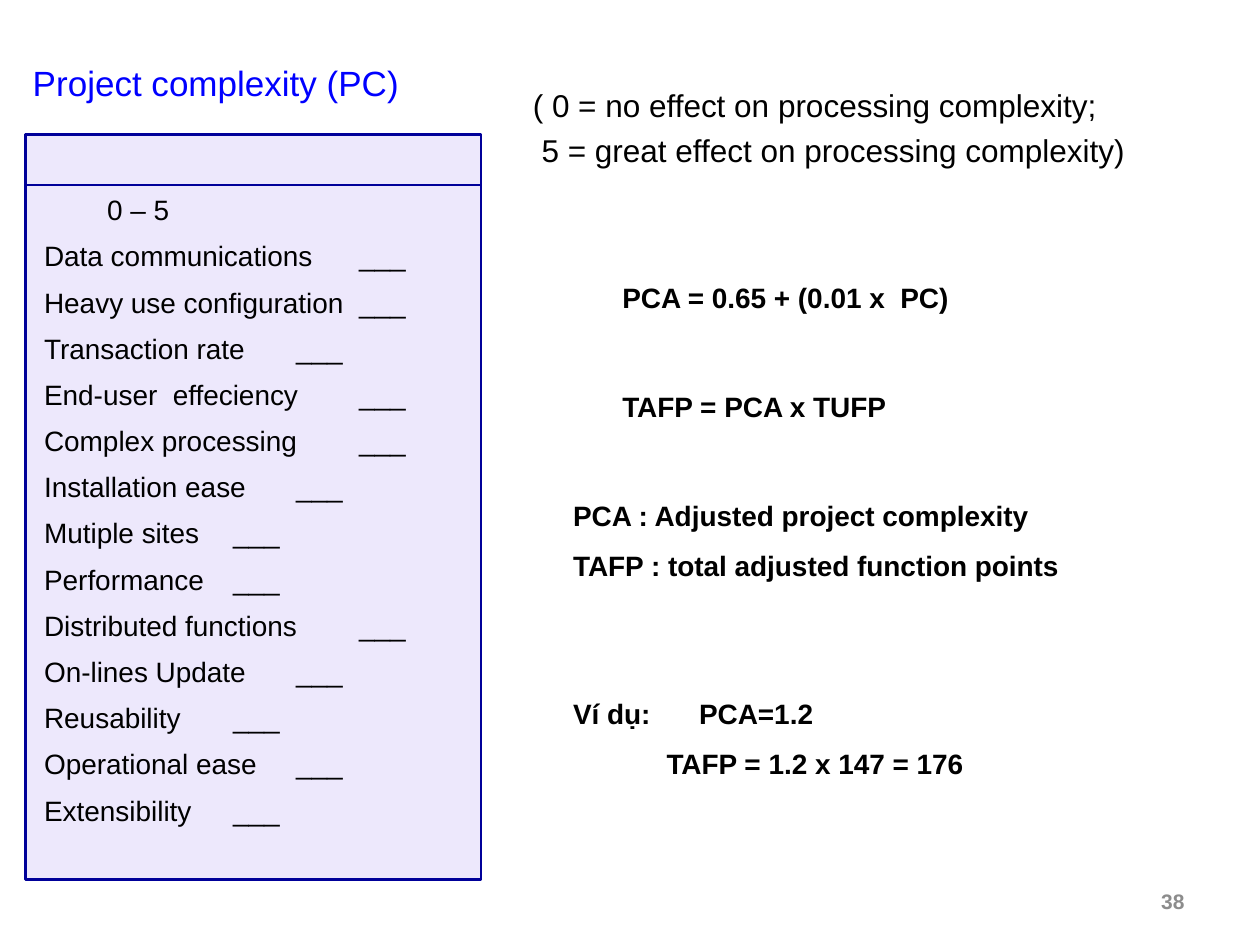
from lxml import etree
from pptx import Presentation
from pptx.dml.color import RGBColor
from pptx.enum import shapes, text
from pptx.oxml import ns
from pptx.util import Pt

COLORS = {"title": "0000FF", "body": "000000", "panel": "EDE8FC",
          "border": "000099", "number": "8C8C8C"}
FONT = "Arial"

TITLE = "Project complexity (PC)"
SCALE = "0 – 5"
BLANK = "___"
FACTORS = [
    "Data communications", "Heavy use configuration", "Transaction rate",
    "End-user  effeciency", "Complex processing", "Installation ease",
    "Mutiple sites", "Performance", "Distributed functions",
    "On-lines Update", "Reusability", "Operational ease", "Extensibility",
]
PANEL = (14.4, 77, 260.6, 425.5)
HEADER_HEIGHT = 28.8
SCALE_TAB, BLANK_TAB = 189, 215.5
EXAMPLE_TAB = 53.4

NOTES = [
    {"box": (297.4, 45.4, 391, 55.4), "size": 18, "bold": False, "gap": 4.4,
     "lines": [("( 0 = no effect on processing complexity;", 0),
               ("5 = great effect on processing complexity)", 5)]},
    {"box": (348.5, 157, 250, 26.6), "lines": [("PCA = 0.65 + (0.01 x  PC)", 0)]},
    {"box": (348.5, 219, 193, 26.6), "lines": [("TAFP = PCA x TUFP", 0)]},
    {"box": (320.4, 281.5, 335, 55.4),
     "lines": [("PCA : Adjusted project complexity", 0),
               ("TAFP : total adjusted function points", 0)]},
    {"box": (320.4, 394.6, 335, 55.4), "tab": EXAMPLE_TAB,
     "lines": [("Ví dụ:\tPCA=1.2", 0),
               ("TAFP = 1.2 x 147 = 176", EXAMPLE_TAB)]},
    {"box": (516.2, 500.4, 167.8, 28.8), "size": 12, "color": "number",
     "align": text.PP_ALIGN.RIGHT, "anchor": text.MSO_ANCHOR.MIDDLE,
     "lines": [("38", 0)]},
]


def color(name):
    return RGBColor.from_string(COLORS[name])


def place(shape, box):
    shape.left, shape.top, shape.width, shape.height = map(Pt, box)


def prepare_frame(shape, anchor=text.MSO_ANCHOR.TOP):
    frame = shape.text_frame
    frame.word_wrap = True
    frame.auto_size = text.MSO_AUTO_SIZE.NONE
    frame.vertical_anchor = anchor
    return frame


def write_line(frame, index, content, size, bold=False, color_name="body",
               align=text.PP_ALIGN.LEFT, gap=0, indent=0, tab=None):
    paragraph = frame.add_paragraph() if index else frame.paragraphs[0]
    properties = paragraph._p.get_or_add_pPr()
    properties.set("marL", str(Pt(indent)))
    properties.set("indent", "0")
    etree.SubElement(properties, ns.qn("a:buNone"))
    if tab:
        tabs = etree.SubElement(properties, ns.qn("a:tabLst"))
        etree.SubElement(tabs, ns.qn("a:tab"), pos=str(Pt(tab)), algn="l")
    paragraph.alignment = align
    paragraph.space_before = Pt(gap if index else 0)
    run = paragraph.add_run()
    run.text = content
    run.font.name = FONT
    run.font.size = Pt(size)
    run.font.bold = bold
    run.font.color.rgb = color(color_name)


def add_title(slide):
    title = slide.shapes.title
    place(title, (11.5, 31.7, 263.5, 31.7))
    write_line(prepare_frame(title), 0, TITLE, 20, color_name="title")


def add_factor_panel(slide):
    panel = slide.placeholders[1]
    place(panel, PANEL)
    panel.fill.solid()
    panel.fill.fore_color.rgb = color("panel")
    panel.line.color.rgb = color("border")
    panel.line.width = Pt(1.5)
    frame = prepare_frame(panel, text.MSO_ANCHOR.MIDDLE)
    frame.margin_left, frame.margin_right = Pt(10.8), Pt(0)
    frame.margin_top, frame.margin_bottom = Pt(6.6), Pt(3.6)
    rows = [(f"\t{SCALE}", SCALE_TAB)]
    rows += [(f"{factor}\t{BLANK}", BLANK_TAB) for factor in FACTORS]
    for index, (content, tab) in enumerate(rows):
        write_line(frame, index, content, 16, gap=7.2, tab=tab)

    left, top, width, _ = PANEL
    rule_top = top + HEADER_HEIGHT
    rule = slide.shapes.add_connector(
        shapes.MSO_CONNECTOR.STRAIGHT,
        Pt(left), Pt(rule_top), Pt(left + width), Pt(rule_top))
    rule.line.color.rgb = color("border")
    rule.line.width = Pt(0.75)
    etree.SubElement(rule._element.spPr, ns.qn("a:effectLst"))


def add_note(slide, note):
    shape = slide.shapes.add_textbox(*map(Pt, note["box"]))
    frame = prepare_frame(shape, note.get("anchor", text.MSO_ANCHOR.TOP))
    for index, (content, indent) in enumerate(note["lines"]):
        write_line(frame, index, content, note.get("size", 16),
                   bold=note.get("bold", True),
                   color_name=note.get("color", "body"),
                   align=note.get("align", text.PP_ALIGN.LEFT),
                   gap=note.get("gap", 9), indent=indent, tab=note.get("tab"))


def main():
    presentation = Presentation()
    presentation.slide_width, presentation.slide_height = Pt(720), Pt(540)
    slide = presentation.slides.add_slide(presentation.slide_layouts[1])
    add_title(slide)
    add_factor_panel(slide)
    for note in NOTES:
        add_note(slide, note)
    presentation.save("out.pptx")


if __name__ == "__main__":
    main()
